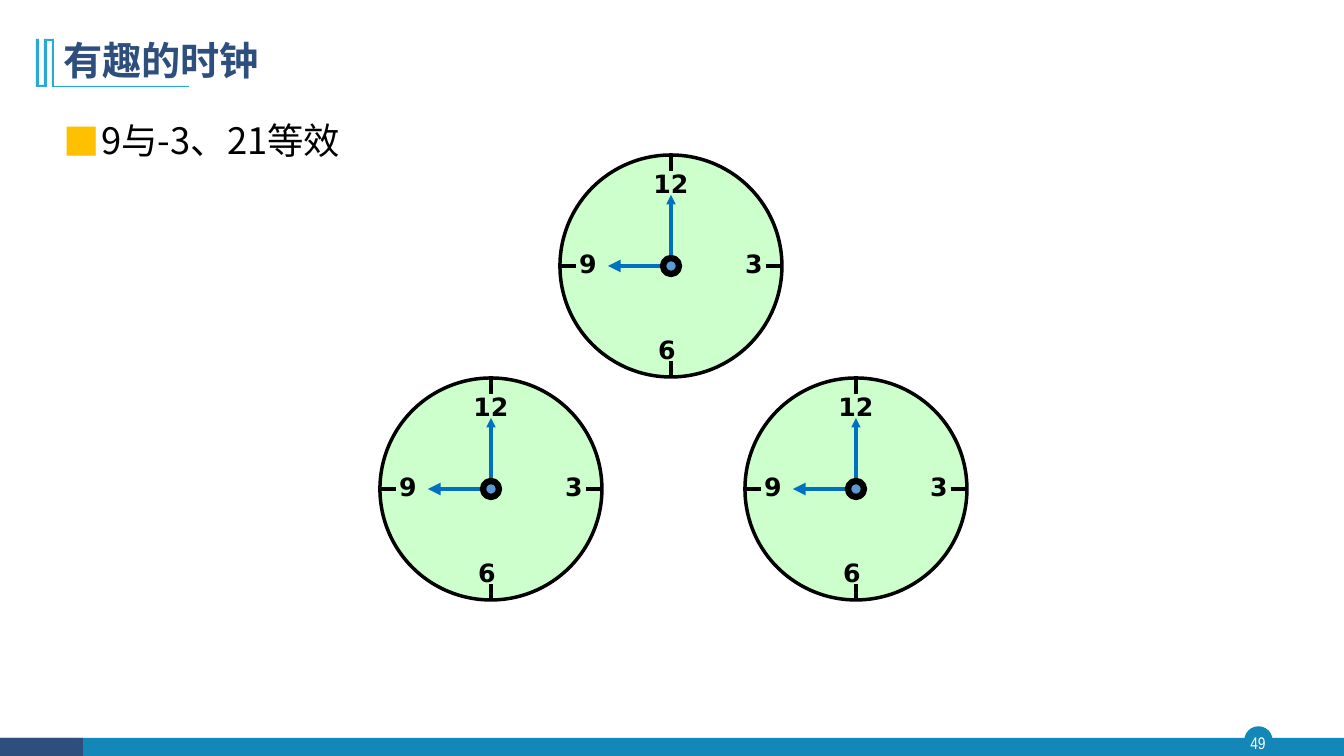
from lxml import etree
from pptx import Presentation
from pptx.dml.color import RGBColor
from pptx.enum.shapes import MSO_CONNECTOR, MSO_SHAPE
from pptx.enum.text import MSO_ANCHOR, PP_ALIGN
from pptx.oxml.ns import qn
from pptx.util import Pt

RECT, OVAL = MSO_SHAPE.RECTANGLE, MSO_SHAPE.OVAL
STRAIGHT = MSO_CONNECTOR.STRAIGHT
LEFT, CENTER, JUSTIFY = PP_ALIGN.LEFT, PP_ALIGN.CENTER, PP_ALIGN.JUSTIFY
TOP, MIDDLE = MSO_ANCHOR.TOP, MSO_ANCHOR.MIDDLE

PX = 914400 / 100.8
WIDTH, HEIGHT = 1344, 756
CJK, DIGITS, NARROW = "Noto Sans CJK SC", "DejaVu Sans", "Arial Narrow"
COLORS = {
    "navy": "2E4E7E", "teal": "1387B7", "sky": "28A9D6", "gold": "FFC000",
    "black": "000000", "white": "FFFFFF", "face": "CCFFCC",
    "hand": "0070C0", "hub": "5B9BD5",
}
CLOCK = 222
CLOCK_SPOTS = [(745, 378), (380, 378), (560, 155)]
# Label, direction from the centre, and nudge of the label
HOURS = [("12", 0, -1, 0, 0), ("3", 1, 0, 0, -3),
         ("6", 0, 1, -4, 0), ("9", -1, 0, 0, -3)]


def emu(*lengths):
    return [round(n * PX) for n in lengths]


def color(name):
    return RGBColor.from_string(COLORS[name])


def write(s, text, size, font, ink, bold=False, align=LEFT, anchor=MIDDLE,
          spacing=None, inset=(10, 5), wrap=True, bullet=None):
    tf = s.text_frame
    tf.word_wrap, tf.vertical_anchor = wrap, anchor
    tf.margin_left, tf.margin_top = tf.margin_right, tf.margin_bottom = emu(*inset)
    p = tf.paragraphs[0]
    p.alignment, p.space_before = align, Pt(0)
    if spacing:
        p.line_spacing = spacing
    if bullet:
        add_bullet(p, *bullet)
    r = p.add_run()
    r.text = text
    r.font.name, r.font.size, r.font.bold = font, Pt(size), bold
    r.font.color.rgb = color(ink)
    etree.SubElement(r._r.get_or_add_rPr(), qn("a:ea"), typeface=font)


def add_bullet(p, char, ink, indent):
    pPr = p._p.get_or_add_pPr()
    hang, = emu(indent)
    pPr.set("marL", str(hang))
    pPr.set("indent", str(-hang))
    clr = etree.SubElement(pPr, qn("a:buClr"))
    etree.SubElement(clr, qn("a:srgbClr"), val=COLORS[ink])
    etree.SubElement(pPr, qn("a:buFont"), typeface=CJK)
    etree.SubElement(pPr, qn("a:buChar"), char=char)


def paint(s, fill, line=None, weight=1):
    s.shadow.inherit = False
    s.fill.solid()
    s.fill.fore_color.rgb = color(fill)
    if line:
        s.line.color.rgb, s.line.width = color(line), Pt(weight)
    else:
        s.line.fill.background()


def add_block(sp, kind, box, fill, line=None, weight=1):
    paint(sp.add_shape(kind, *emu(*box)), fill, line, weight)


def add_text(sp, box, text, **fmt):
    write(sp.add_textbox(*emu(*box)), text, **fmt)


def add_line(sp, start, end, ink, weight, arrow=False):
    c = sp.add_connector(STRAIGHT, *emu(*start, *end))
    c.line.color.rgb, c.line.width = color(ink), Pt(weight)
    if arrow:
        etree.SubElement(c.line._get_or_add_ln(), qn("a:tailEnd"), type="triangle")
    etree.SubElement(c._element.spPr, qn("a:effectLst"))


def add_footer(sp, x, y, w, h):
    add_block(sp, OVAL, (x + w - 99, y - 11, 27, 27), "teal", "teal")
    add_block(sp, RECT, (x, y, w, h), "teal")
    add_block(sp, RECT, (x, y, 83, h), "navy")
    add_text(sp, (x + w - 102, y - 11, 32, 31), "49", size=12, font=NARROW,
             ink="white", align=CENTER, inset=(0, 0))


def add_header(sp, x, y, w, h):
    # Double bar with an underline
    outline = [(18, 0), (18, 47), (153, 47), (153, 48), (16, 48), (16, 2),
               (11, 2), (11, 48), (0, 48), (0, 0), (3, 0), (3, 46), (8, 46), (8, 0)]
    points = [(x + dx, y + 11 + dy) for dx, dy in outline]
    fb = sp.build_freeform(*points[0], scale=PX)
    fb.add_line_segments(points[1:], close=True)
    paint(fb.convert_to_shape(), "sky")
    # Title
    title = sp.title
    title.left, title.top, title.width, title.height = emu(x + 17, y, w - 17, h)
    write(title, "有趣的时钟", size=28, font=CJK, ink="navy", bold=True, spacing=0.9)


def add_clock(sp, x, y, d):
    r = d // 2
    cx, cy = x + r, y + r
    add_block(sp, OVAL, (x, y, d, d), "face", "black", 2.5)
    # Ticks and hour labels
    tick, reach, lw, lh = 16, r - 28, 70, 40
    for hour, dx, dy, nx, ny in HOURS:
        add_line(sp, (cx + dx * (r - tick), cy + dy * (r - tick)),
                 (cx + dx * r, cy + dy * r), "black", 2.25)
        add_text(sp, (cx + dx * reach + nx - lw // 2, cy + dy * reach + ny - lh // 2, lw, lh),
                 hour, size=18, font=DIGITS, ink="black", bold=True, align=CENTER)
    # Hands and hub
    add_line(sp, (cx, cy), (cx - 63, cy), "hand", 3, arrow=True)
    add_line(sp, (cx, cy), (cx, cy - 71), "hand", 2.25, arrow=True)
    add_block(sp, OVAL, (cx - 8, cy - 8, 16, 16), "hub", "black", 4.5)


def main():
    prs = Presentation()
    prs.slide_width, prs.slide_height = emu(WIDTH, HEIGHT)
    sp = prs.slides.add_slide(prs.slide_layouts[5]).shapes
    add_footer(sp, 0, 738, WIDTH, 18)
    add_header(sp, 36, 28, 1176, 69)
    add_text(sp, (53, 104, 1159, 80), "9与-3、21等效", size=26, font=CJK, ink="black",
             align=JUSTIFY, anchor=TOP, spacing=1.2, bullet=("■", "gold", 38))
    for x, y in CLOCK_SPOTS:
        add_clock(sp, x, y, CLOCK)
    prs.save("out.pptx")


if __name__ == "__main__":
    main()
